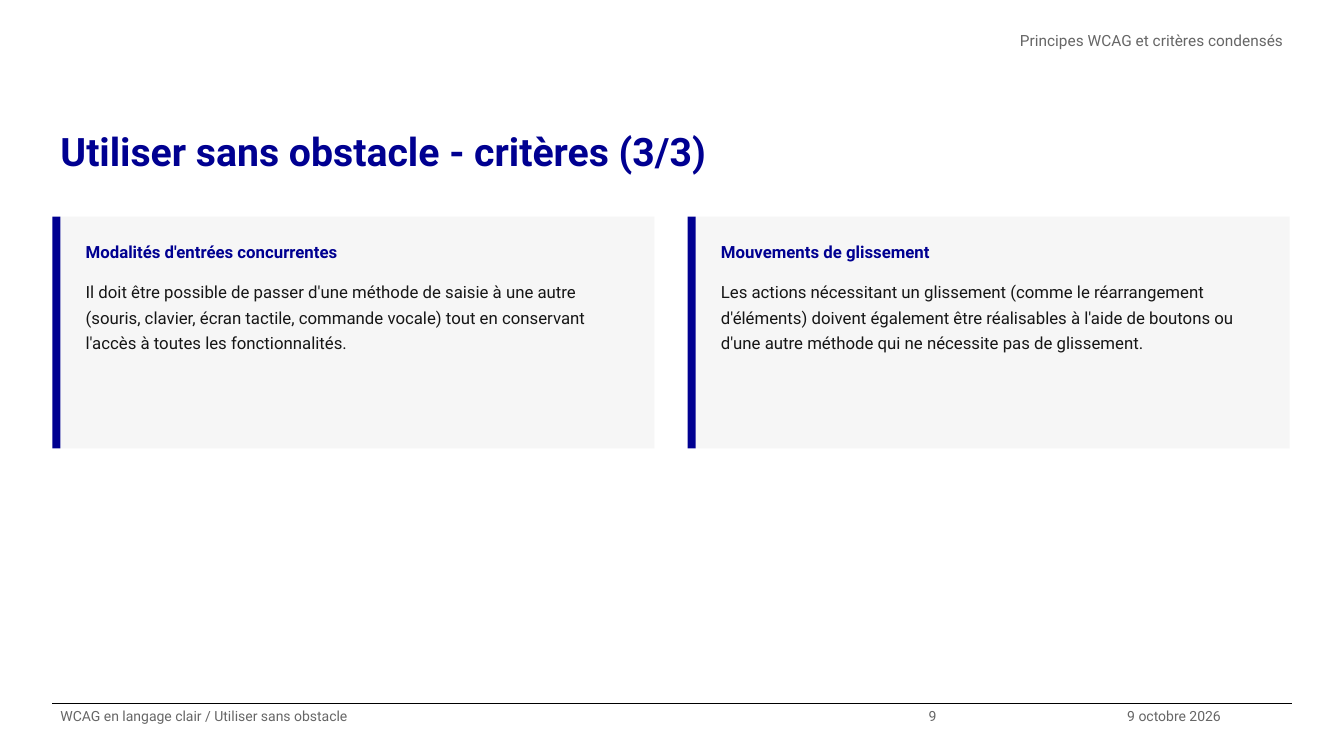
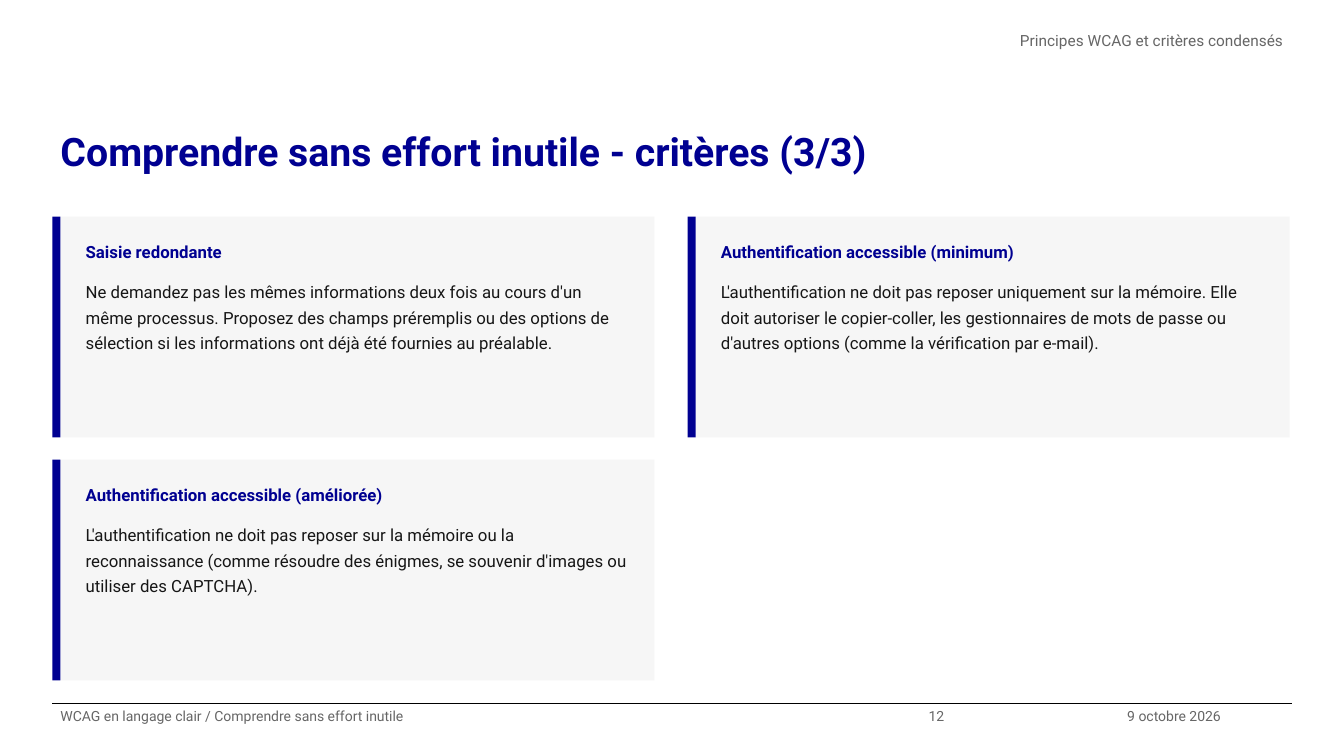
import pptx
import pptx.dml.color
import pptx.enum.shapes
import pptx.enum.text
import pptx.oxml.ns
import pptx.util
from lxml import etree
from pptx.util import Inches

COLORS = {
    "blue": "000091",
    "panel": "F6F6F6",
    "text": "161616",
    "grey": "666666",
    "rule": "000000",
}
FONT = "Roboto"
LEFT, RIGHT = 0.52, 12.81
FOOTER_TOP = 6.98
CARD_TOP, CARD_WIDTH, BAR_WIDTH = 2.15, 5.89, 0.08
COLUMN_STEP, ROW_GAP = 6.3, 0.22

PAGES = [
    {
        "principle": "Utiliser sans obstacle",
        "number": "9",
        "card_height": 2.3,
        "cards": [
            ("Modalités d'entrées concurrentes",
             "Il doit être possible de passer d'une méthode de saisie à une autre "
             "(souris, clavier, écran tactile, commande vocale) tout en conservant "
             "l'accès à toutes les fonctionnalités."),
            ("Mouvements de glissement",
             "Les actions nécessitant un glissement (comme le réarrangement "
             "d'éléments) doivent également être réalisables à l'aide de boutons ou "
             "d'une autre méthode qui ne nécessite pas de glissement."),
        ],
    },
    {
        "principle": "Comprendre sans effort inutile",
        "number": "12",
        "card_height": 2.19,
        "cards": [
            ("Saisie redondante",
             "Ne demandez pas les mêmes informations deux fois au cours d'un même "
             "processus. Proposez des champs préremplis ou des options de sélection "
             "si les informations ont déjà été fournies au préalable."),
            ("Authentification accessible (minimum)",
             "L'authentification ne doit pas reposer uniquement sur la mémoire. Elle "
             "doit autoriser le copier-coller, les gestionnaires de mots de passe ou "
             "d'autres options (comme la vérification par e-mail)."),
            ("Authentification accessible (améliorée)",
             "L'authentification ne doit pas reposer sur la mémoire ou la "
             "reconnaissance (comme résoudre des énigmes, se souvenir d'images ou "
             "utiliser des CAPTCHA)."),
        ],
    },
]


def write(box, at, text, size, color, bold=False, inset=0):
    """Place a text box or placeholder and fill it with one formatted paragraph."""
    box.left, box.top, box.width, box.height = [Inches(value) for value in at]
    frame = box.text_frame
    frame.word_wrap = True
    frame.auto_size = pptx.enum.text.MSO_AUTO_SIZE.NONE
    frame.vertical_anchor = pptx.enum.text.MSO_ANCHOR.TOP
    frame.margin_left = frame.margin_right = Inches(0.08)
    frame.margin_top = frame.margin_bottom = Inches(inset)
    frame.text = text
    para = frame.paragraphs[0]
    para.alignment = pptx.enum.text.PP_ALIGN.LEFT
    para.line_spacing = 1.25
    para.space_before = pptx.util.Pt(0)
    font = para.runs[0].font
    font.name, font.size, font.bold = FONT, pptx.util.Pt(size), bold
    font.color.rgb = pptx.dml.color.RGBColor.from_string(COLORS[color])
    return para


def add_panel(page, at, color):
    panel = page.shapes.add_shape(
        pptx.enum.shapes.MSO_SHAPE.RECTANGLE, *[Inches(value) for value in at])
    panel.shadow.inherit = False
    panel.fill.solid()
    panel.fill.fore_color.rgb = pptx.dml.color.RGBColor.from_string(COLORS[color])
    panel.line.fill.background()


deck = pptx.Presentation()
deck.slide_width, deck.slide_height = Inches(13.33), Inches(7.5)

for content in PAGES:
    page = deck.slides.add_slide(deck.slide_layouts[1])
    principle = content["principle"]

    rule = page.shapes.add_connector(
        pptx.enum.shapes.MSO_CONNECTOR.STRAIGHT,
        Inches(LEFT), Inches(FOOTER_TOP), Inches(RIGHT), Inches(FOOTER_TOP))
    rule.line.color.rgb = pptx.dml.color.RGBColor.from_string(COLORS["rule"])
    rule.line.width = pptx.util.Pt(0.8)
    etree.SubElement(rule._element.spPr, pptx.oxml.ns.qn("a:effectLst"))

    write(page.shapes.title, (LEFT, 1.15, 12.28, 1.05),
          f"{principle} - critères (3/3)", 28, "blue", bold=True)

    header = write(page.placeholders[1], (4.83, 0.26, 7.98, 0.52),
                   "Principes WCAG et critères condensés", 11, "grey")
    header.alignment = pptx.enum.text.PP_ALIGN.RIGHT
    properties = header._p.get_or_add_pPr()
    properties.set("marL", "0")
    properties.set("indent", "0")
    etree.SubElement(properties, pptx.oxml.ns.qn("a:buNone"))

    for left, width, text in [
        (LEFT, 8.61, f"WCAG en langage clair / {principle}"),
        (9.13, 1.97, content["number"]),
        (11.1, 1.71, "9 octobre 2026"),
    ]:
        write(page.shapes.add_textbox(0, 0, 0, 0),
              (left, FOOTER_TOP, width, 0.52), text, 10, "grey")

    height = content["card_height"]
    for index, (heading, body) in enumerate(content["cards"]):
        row, column = divmod(index, 2)
        left = LEFT + column * COLUMN_STEP
        top = CARD_TOP + row * (height + ROW_GAP)
        add_panel(page, (left + BAR_WIDTH, top, CARD_WIDTH, height), "panel")
        add_panel(page, (left, top, BAR_WIDTH, height), "blue")
        write(page.shapes.add_textbox(0, 0, 0, 0),
              (left + 0.25, top + 0.15, 5.57, 0.35),
              heading, 12, "blue", bold=True, inset=0.05)
        write(page.shapes.add_textbox(0, 0, 0, 0),
              (left + 0.25, top + 0.55, 5.57, height - 0.65),
              body, 12, "text", inset=0.05)

deck.save("out.pptx")
